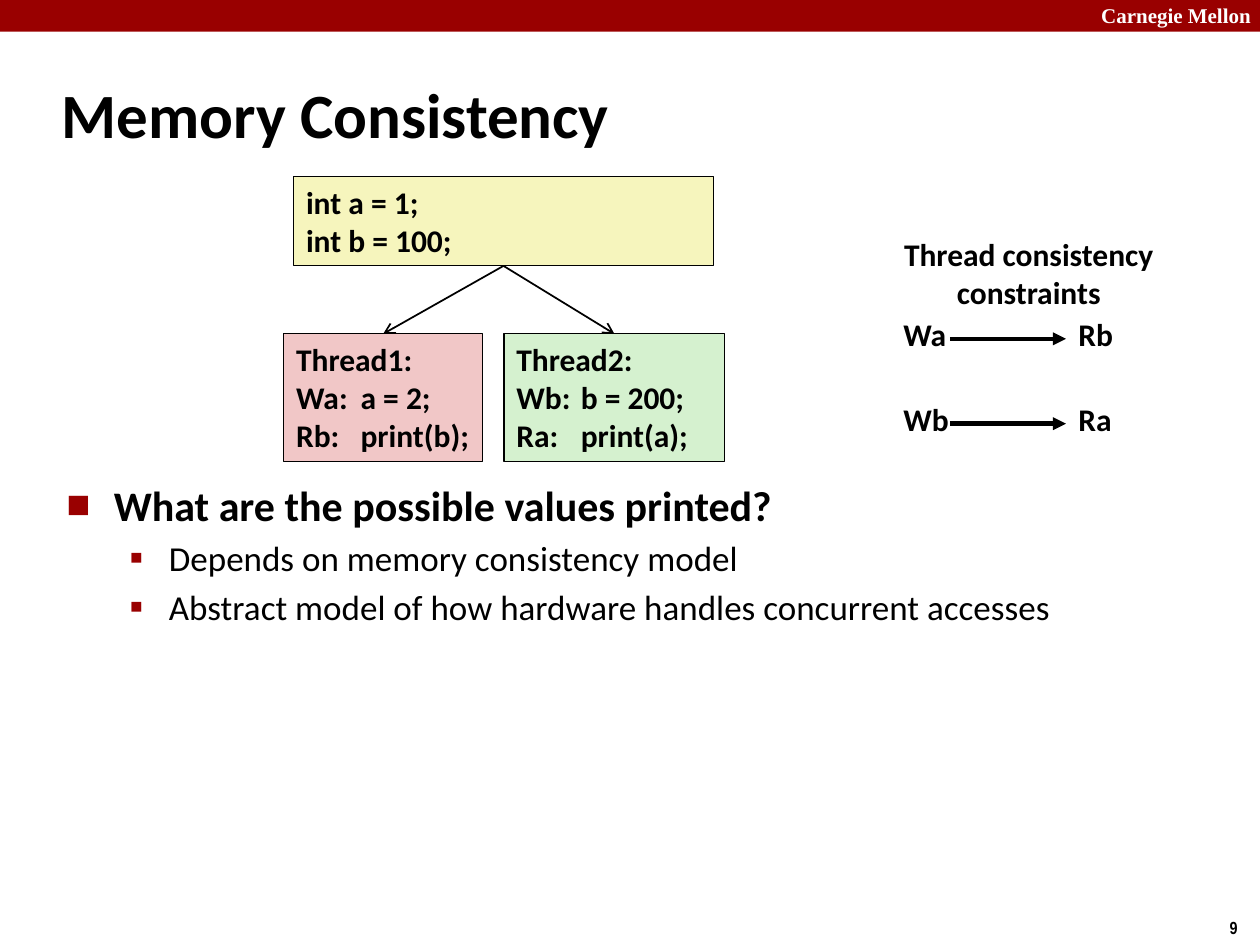
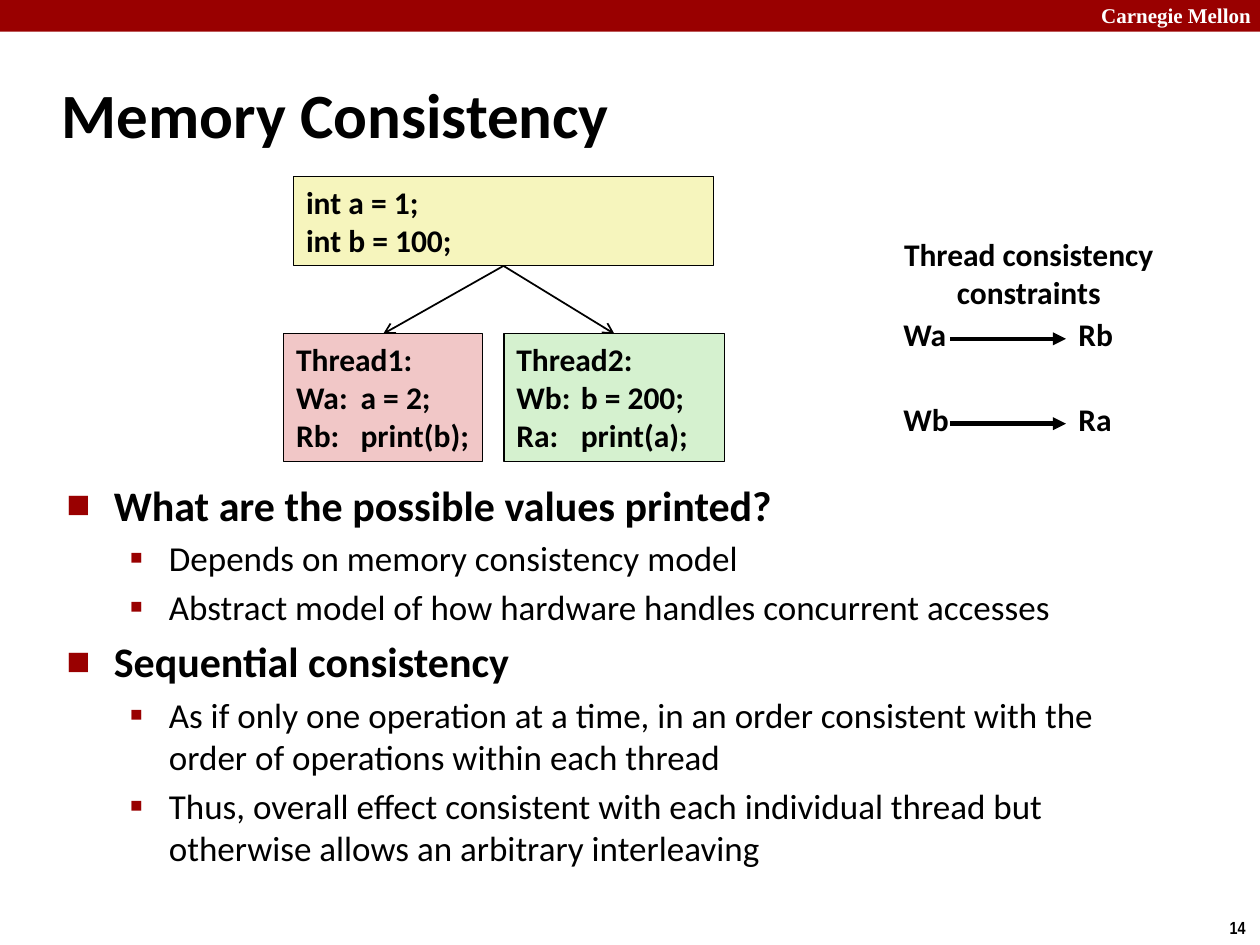
from lxml import etree
from pptx import Presentation
from pptx import util as u
from pptx.dml.color import RGBColor
from pptx.enum import shapes, text
from pptx.oxml import ns

BLACK = RGBColor(0x00, 0x00, 0x00)
WHITE = RGBColor(0xFF, 0xFF, 0xFF)
CRIMSON = RGBColor(0x99, 0x00, 0x00)
YELLOW = RGBColor(0xF6, 0xF5, 0xBD)
PINK = RGBColor(0xF1, 0xC7, 0xC7)
GREEN = RGBColor(0xD5, 0xF1, 0xCF)

LEVELS = [
    dict(size=24, bold=True, margin=0.95, hanging=0.95, mark="■", scale=60),
    dict(size=20, bold=False, margin=2.06, hanging=0.79, mark="▪", scale=110),
]
TAB_STOP = 1.3
ROW_TOP, ROW_STEP = 6.23, 1.71

QUESTION = [
    (0, "What are the possible values printed?"),
    (1, "Depends on memory consistency model"),
    (1, "Abstract model of how hardware handles concurrent accesses"),
]
SEQUENTIAL = [
    (0, "Sequential consistency"),
    (1, "As if only one operation at a time, in an order consistent with the "
        "order of operations within each thread"),
    (1, "Thus, overall effect consistent with each individual thread but "
        "otherwise allows an arbitrary interleaving"),
]


def lengths(*values):
    return [u.Cm(value) for value in values]


def add_xml(parent, tag, **attributes):
    return etree.SubElement(parent, ns.qn(tag), attributes)


def write(para, words, size=18, font="Calibri", color=BLACK, bold=True,
          align=text.PP_ALIGN.LEFT):
    para.alignment = align
    span = para.add_run()
    span.text = words
    span.font.name = font
    span.font.size = u.Pt(size)
    span.font.bold = bold
    span.font.color.rgb = color


def paragraphs(frame, count):
    return [frame.paragraphs[0]] + [frame.add_paragraph() for _ in range(count - 1)]


def write_lines(frame, lines, **style):
    for para, line in zip(paragraphs(frame, len(lines)), lines):
        if "\t" in "".join(lines):
            tabs = add_xml(para._p.get_or_add_pPr(), "a:tabLst")
            add_xml(tabs, "a:tab", pos=str(u.Cm(TAB_STOP)), algn="l")
        write(para, line, **style)


def add_label(page, place, *lines, **style):
    box = page.shapes.add_textbox(*lengths(*place))
    box.text_frame.word_wrap = False
    write_lines(box.text_frame, lines, **style)


def add_rectangle(page, place, fill):
    box = page.shapes.add_shape(shapes.MSO_SHAPE.RECTANGLE, *lengths(*place))
    box.shadow.inherit = False
    box.fill.solid()
    box.fill.fore_color.rgb = fill
    box.line.fill.background()
    return box


def add_code(page, place, fill, *lines):
    box = add_rectangle(page, place, fill)
    box.line.color.rgb = BLACK
    box.line.width = u.Pt(0.75)
    box.text_frame.word_wrap = True
    box.text_frame.vertical_anchor = text.MSO_ANCHOR.TOP
    write_lines(box.text_frame, lines)
    return box


def add_arrow(page, ends, width, head):
    arrow = page.shapes.add_connector(shapes.MSO_CONNECTOR.STRAIGHT, *lengths(*ends))
    arrow.line.color.rgb = BLACK
    arrow.line.width = u.Pt(width)
    add_xml(arrow.line._get_or_add_ln(), "a:tailEnd", type=head)
    add_xml(arrow._element.spPr, "a:effectLst")
    return arrow


def place_placeholder(holder, place, anchor):
    holder.left, holder.top, holder.width, holder.height = lengths(*place)
    frame = holder.text_frame
    frame.auto_size = text.MSO_AUTO_SIZE.NONE
    frame.word_wrap = True
    frame.vertical_anchor = anchor
    return frame


def add_bullet(para, level):
    style = LEVELS[level]
    para.level = level
    props = para._p.get_or_add_pPr()
    props.set("marL", str(u.Cm(style["margin"])))
    props.set("indent", str(-u.Cm(style["hanging"])))
    add_xml(add_xml(props, "a:buClr"), "a:srgbClr", val=str(CRIMSON))
    add_xml(props, "a:buSzPct", val=str(style["scale"] * 1000))
    add_xml(props, "a:buFont", typeface="Calibri")
    add_xml(props, "a:buChar", char=style["mark"])


def add_bullets(holder, items):
    frame = place_placeholder(holder, (1.09, 9.53, 21.95, 8.08), text.MSO_ANCHOR.TOP)
    for index, (para, (level, words)) in enumerate(zip(paragraphs(frame, len(items)), items)):
        style = LEVELS[level]
        add_bullet(para, level)
        para.space_before = u.Pt(0.2 * style["size"] if index else 0)
        write(para, words, size=style["size"], bold=style["bold"])


def add_threads(page):
    shared = add_code(page, (5.92, 3.56, 8.46, 1.8), YELLOW, "int a = 1;", "int b = 100;")
    threads = [
        add_code(page, (5.72, 6.73, 4.01, 2.57), PINK,
                 "Thread1:", "Wa:\ta = 2;", "Rb: \tprint(b);"),
        add_code(page, (10.16, 6.73, 4.45, 2.57), GREEN,
                 "Thread2:", "Wb:\tb = 200;", "Ra:\tprint(a);"),
    ]
    for thread in threads:
        arrow = add_arrow(page, (0, 0, 0, 0), 1, "arrow")
        arrow.begin_connect(shared, 2)
        arrow.end_connect(thread, 0)


def add_constraints(page):
    add_label(page, (17.96, 4.62, 5.56, 1.8), "Thread consistency", "constraints",
              align=text.PP_ALIGN.CENTER)
    for row, (first, second) in enumerate([("Wa", "Rb"), ("Wb", "Ra")]):
        top = ROW_TOP + row * ROW_STEP
        add_label(page, (17.96, top, 1.42, 1.02), first)
        add_label(page, (21.49, top, 1.21, 1.02), second)
        add_arrow(page, (19.15, top + 0.6, 21.49, top + 0.6), 2.5, "triangle")


def add_page(deck, number, items):
    page = deck.slides.add_slide(deck.slide_layouts[1])
    add_rectangle(page, (0, 0, 25.4, 0.64), CRIMSON)
    add_label(page, (21.95, -0.08, 3.63, 0.76), "Carnegie Mellon",
              size=12, font="Times New Roman", color=WHITE)
    add_label(page, (24.54, 18.36, 0.86, 0.69), str(number), size=10, font="Arial Narrow")
    title = place_placeholder(page.shapes.title, (0.99, 1.22, 21.08, 2.11),
                              text.MSO_ANCHOR.MIDDLE)
    write(title.paragraphs[0], "Memory Consistency", size=36)
    add_bullets(page.placeholders[1], items)
    add_threads(page)
    add_constraints(page)


def main():
    deck = Presentation()
    deck.slide_width, deck.slide_height = lengths(25.4, 19.05)
    add_page(deck, 9, QUESTION)
    add_page(deck, 14, QUESTION + SEQUENTIAL)
    deck.save("out.pptx")


if __name__ == "__main__":
    main()
